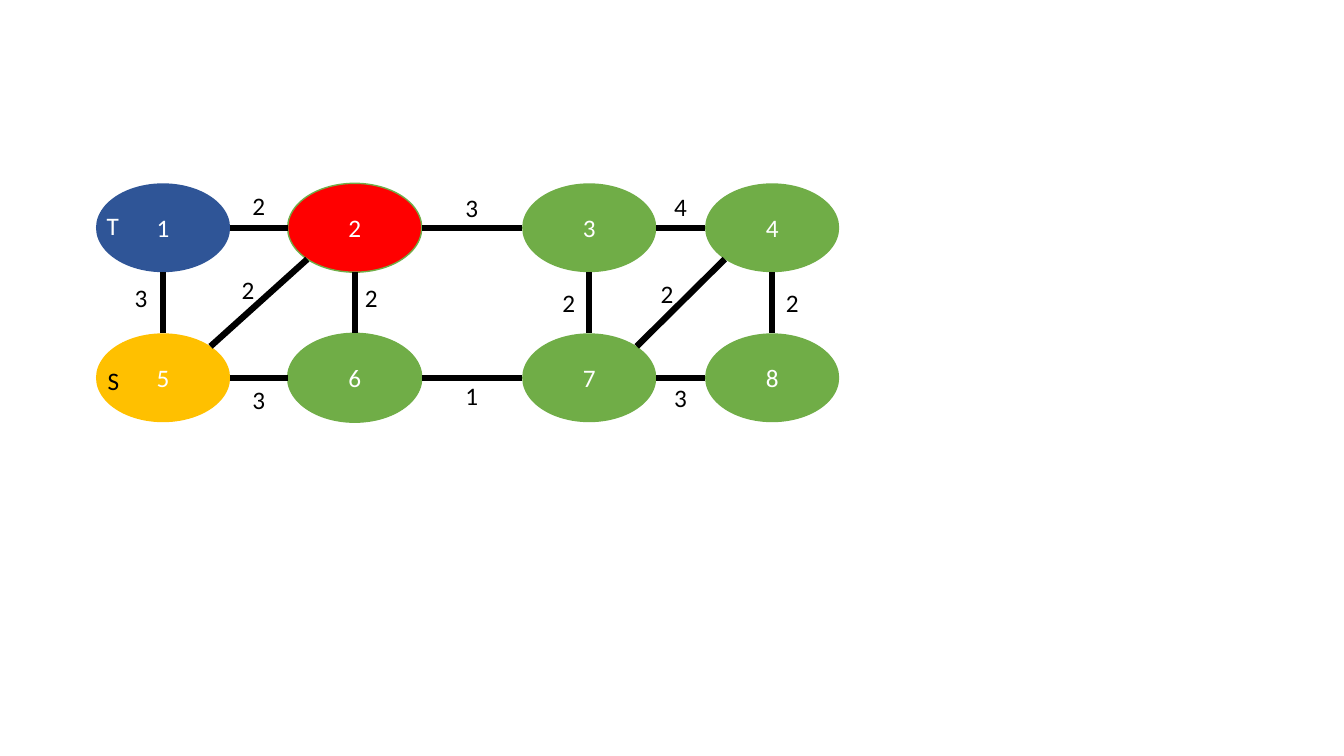
from dataclasses import dataclass
from math import hypot

from lxml.etree import SubElement
from pptx import Presentation
from pptx.dml.color import RGBColor as RGB
from pptx.enum.shapes import MSO_CONNECTOR as LINK, MSO_SHAPE as SHAPE
from pptx.enum.text import MSO_ANCHOR as ANCHOR, MSO_AUTO_SIZE as FIT, PP_ALIGN as ALIGN
from pptx.oxml.ns import qn
from pptx.util import Cm, Pt


@dataclass(frozen=True)
class Theme:
    font: str = "Calibri"
    size: int = 18
    edge_width: float = 4.5
    outline_width: int = 1
    target: RGB = RGB(0x2F, 0x55, 0x97)
    source: RGB = RGB(0xFF, 0xC0, 0x00)
    failed: RGB = RGB(0xFF, 0x00, 0x00)
    plain: RGB = RGB(0x70, 0xAD, 0x47)
    dark: RGB = RGB(0x00, 0x00, 0x00)
    light: RGB = RGB(0xFF, 0xFF, 0xFF)


THEME = Theme()

# Graph geometry in cm, relative to the graph's box
NODE_W, NODE_H = 3.38, 2.24
LABEL_W, LABEL_H = 0.83, 1.02
COLUMNS = (0, 4.83, 10.74, 15.35)
ROW_PITCH = 3.78

NODE_FILLS = {1: THEME.target, 2: THEME.failed, 5: THEME.source}
OUTLINED_NODES = (2, 6)

# Start node, end node, weight, offset of the weight from the edge's middle
EDGES = (
    (1, 2, 2, (0, -0.56)), (1, 5, 3, (-0.55, -0.14)),
    (2, 5, 2, (-0.27, -0.34)), (5, 6, 3, (0, 0.56)),
    (2, 6, 2, (0.42, -0.14)), (2, 3, 3, (0, -0.51)),
    (6, 7, 1, (0, 0.46)), (3, 7, 2, (-0.51, 0)),
    (3, 4, 4, (0, -0.53)), (7, 4, 2, (-0.34, -0.22)),
    (4, 8, 2, (0.51, 0)), (7, 8, 3, (0, 0.51)),
)

# Node, letter, colour, offset of the letter from the node's centre
ROLES = (
    (5, "S", THEME.dark, (-1.23, 0.08)),
    (1, "T", THEME.light, (-1.26, -0.05)),
)


def style_text(frame, text, color, align):
    frame.text = str(text)
    paragraph = frame.paragraphs[0]
    paragraph.alignment = align
    font = paragraph.runs[0].font
    font.name, font.size = THEME.font, Pt(THEME.size)
    font.color.rgb = color


def add_node(slide, number, x, y):
    node = slide.shapes.add_shape(
        SHAPE.OVAL, Cm(x - NODE_W / 2), Cm(y - NODE_H / 2), Cm(NODE_W), Cm(NODE_H))
    node.shadow.inherit = False
    node.fill.solid()
    node.fill.fore_color.rgb = NODE_FILLS.get(number, THEME.plain)
    if number in OUTLINED_NODES:
        node.line.color.rgb = THEME.plain
        node.line.width = Pt(THEME.outline_width)
    else:
        node.line.fill.background()
    node.text_frame.vertical_anchor = ANCHOR.MIDDLE
    style_text(node.text_frame, number, THEME.light, ALIGN.CENTER)


def add_edge(slide, start, end):
    edge = slide.shapes.add_connector(LINK.STRAIGHT, *(Cm(v) for v in start + end))
    edge.line.color.rgb = THEME.dark
    edge.line.width = Pt(THEME.edge_width)
    SubElement(edge.element.spPr, qn("a:effectLst"))


def add_label(slide, text, color, x, y):
    label = slide.shapes.add_textbox(
        Cm(x - LABEL_W / 2), Cm(y - LABEL_H / 2), Cm(LABEL_W), Cm(LABEL_H))
    label.text_frame.word_wrap = False
    label.text_frame.auto_size = FIT.SHAPE_TO_FIT_TEXT
    style_text(label.text_frame, text, color, ALIGN.LEFT)


def grid_cell(number):
    row, column = divmod(number - 1, len(COLUMNS))
    return column, row


def rim_point(center, direction):
    """Point on a node's rim: a side, or the diagonal between two sides."""
    length = hypot(*direction)
    return (center[0] + direction[0] / length * NODE_W / 2,
            center[1] + direction[1] / length * NODE_H / 2)


def add_graph(slide, left, top):
    centers = {}
    for number in range(1, 2 * len(COLUMNS) + 1):
        column, row = grid_cell(number)
        centers[number] = (left + COLUMNS[column] + NODE_W / 2,
                           top + row * ROW_PITCH + NODE_H / 2)

    # Nodes
    for number, center in centers.items():
        add_node(slide, number, *center)

    # Edges, from rim to rim
    for first, second, _, _ in EDGES:
        ahead = [b - a for a, b in zip(grid_cell(first), grid_cell(second))]
        back = [-step for step in ahead]
        add_edge(slide, rim_point(centers[first], ahead), rim_point(centers[second], back))

    # Edge weights
    for first, second, weight, (dx, dy) in EDGES:
        (x1, y1), (x2, y2) = centers[first], centers[second]
        add_label(slide, weight, THEME.dark, (x1 + x2) / 2 + dx, (y1 + y2) / 2 + dy)

    # Source and target letters
    for number, letter, color, (dx, dy) in ROLES:
        x, y = centers[number]
        add_label(slide, letter, color, x + dx, y + dy)


deck = Presentation()
deck.slide_width, deck.slide_height = Cm(33.87), Cm(19.05)
graph_slide = deck.slides.add_slide(deck.slide_layouts[6])
add_graph(graph_slide, left=2.42, top=4.62)
deck.save("out.pptx")
